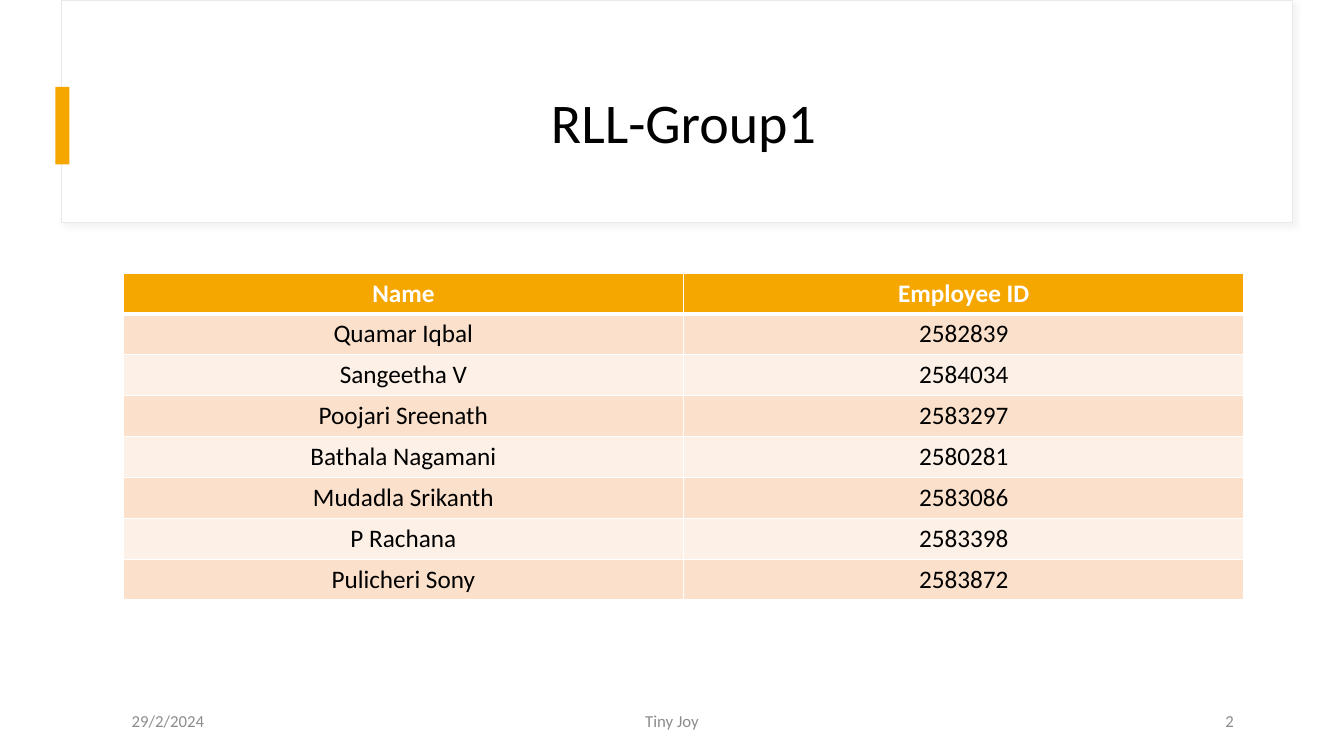
"""Build the group roster slide with its title frame, table and footer."""
from lxml import etree
from pptx import Presentation
from pptx.dml.color import RGBColor
from pptx.enum.shapes import MSO_SHAPE
from pptx.enum.text import MSO_ANCHOR, PP_ALIGN
from pptx.oxml import parse_xml
from pptx.oxml.ns import qn
from pptx.util import Pt

LEFT, CENTER, RIGHT = PP_ALIGN.LEFT, PP_ALIGN.CENTER, PP_ALIGN.RIGHT
MIDDLE = MSO_ANCHOR.MIDDLE
RECT = MSO_SHAPE.RECTANGLE
WHITE = RGBColor(0xFF, 0xFF, 0xFF)
BLACK = RGBColor(0, 0, 0)
AMBER = RGBColor(0xF5, 0xA7, 0x00)
PEACH = RGBColor(0xFB, 0xE1, 0xCC)
CREAM = RGBColor(0xFD, 0xF1, 0xE7)
EDGE = RGBColor(0xE9, 0xE9, 0xE9)
GREY = RGBColor(0x8C, 0x8C, 0x8C)
FONT = "Calibri"
NS = "http://schemas.openxmlformats.org/drawingml/2006/main"
SHADOW = (
    f'<a:effectLst xmlns:a="{NS}">'
    '<a:outerShdw blurRad="50800" dist="38100" dir="2700000" algn="tl" rotWithShape="0">'
    '<a:srgbClr val="D9D9D9"><a:alpha val="30000"/></a:srgbClr>'
    '</a:outerShdw></a:effectLst>'
)
ROWS = [
    ("Name", "Employee ID"),
    ("Quamar Iqbal", "2582839"),
    ("Sangeetha V", "2584034"),
    ("Poojari Sreenath", "2583297"),
    ("Bathala Nagamani", "2580281"),
    ("Mudadla Srikanth", "2583086"),
    ("P Rachana", "2583398"),
    ("Pulicheri Sony", "2583872"),
]


def write(frame, text, size, color, align, bold=False):
    para = frame.paragraphs[0]
    para.alignment = align
    run = para.add_run()
    run.text = text
    run.font.name = FONT
    run.font.size = Pt(size)
    run.font.bold = bold
    run.font.color.rgb = color
    return para


def add_text(left, top, width, height, *style):
    box = slide.shapes.add_textbox(Pt(left), Pt(top), Pt(width), Pt(height))
    frame = box.text_frame
    frame.word_wrap = True
    frame.vertical_anchor = MIDDLE
    return write(frame, *style)


deck = Presentation()
deck.slide_width, deck.slide_height = Pt(960), Pt(540)
slide = deck.slides.add_slide(deck.slide_layouts[6])

panel = slide.shapes.add_shape(RECT, Pt(44), Pt(0), Pt(879), Pt(159))
panel.fill.solid()
panel.fill.fore_color.rgb = WHITE
panel.line.color.rgb = EDGE
panel.line.width = Pt(0.75)
panel._element.spPr.append(parse_xml(SHADOW))

accent = slide.shapes.add_shape(RECT, Pt(39.5), Pt(62), Pt(10), Pt(55.5))
accent.shadow.inherit = False
accent.fill.solid()
accent.fill.fore_color.rgb = AMBER
accent.line.fill.background()

title = add_text(88, 43, 800.5, 93, "RLL-Group1", 40, BLACK, CENTER)
title.line_spacing = 0.9

grid = slide.shapes.add_table(
    len(ROWS), 2, Pt(88), Pt(195), Pt(800.6), Pt(29.2 * len(ROWS))
).table
for col in grid.columns:
    col.width = Pt(400.3)
for i, names in enumerate(ROWS):
    grid.rows[i].height = Pt(29.2)
    head = i == 0
    for j, name in enumerate(names):
        cell = grid.cell(i, j)
        cell.fill.solid()
        cell.fill.fore_color.rgb = AMBER if head else PEACH if i % 2 else CREAM
        if i == 1:
            cell.vertical_anchor = MIDDLE
            cell.margin_left = cell.margin_right = Pt(5)
            cell.margin_top = cell.margin_bottom = Pt(0)
        write(cell.text_frame, name, 18, WHITE if head else BLACK, CENTER, head)
        props = cell._tc.get_or_add_tcPr()
        for k, side in enumerate(("lnL", "lnR", "lnT", "lnB")):
            thick = (i, side) in ((0, "lnB"), (1, "lnT"))
            line = etree.Element(qn(f"a:{side}"), w=str(Pt(3 if thick else 1)))
            fill = etree.SubElement(line, qn("a:solidFill"))
            etree.SubElement(fill, qn("a:srgbClr"), val=str(WHITE))
            props.insert(k, line)

for left, width, text, align in (
    (87, 216, "29/2/2024", LEFT),
    (318, 324, "Tiny Joy", CENTER),
    (672.5, 216, "2", RIGHT),
):
    add_text(left, 500.5, width, 29, text, 12, GREY, align)

deck.save("out.pptx")
